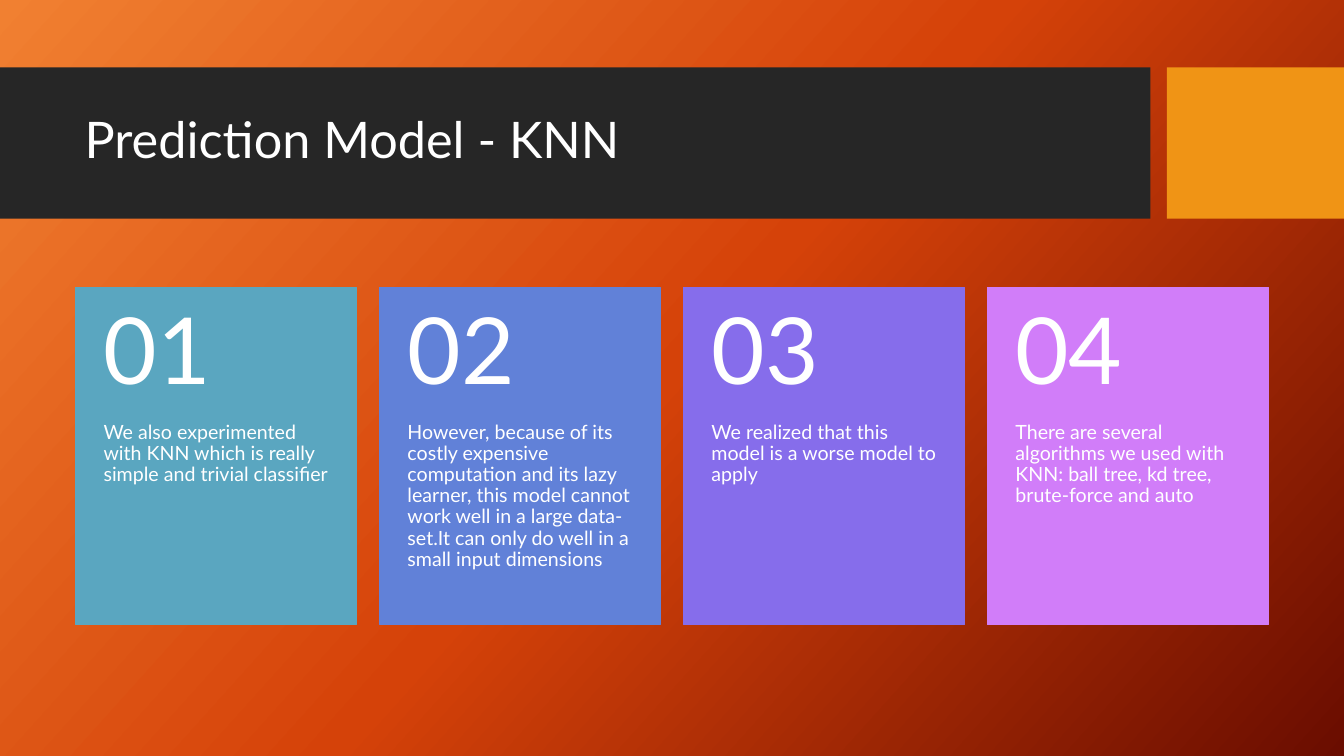
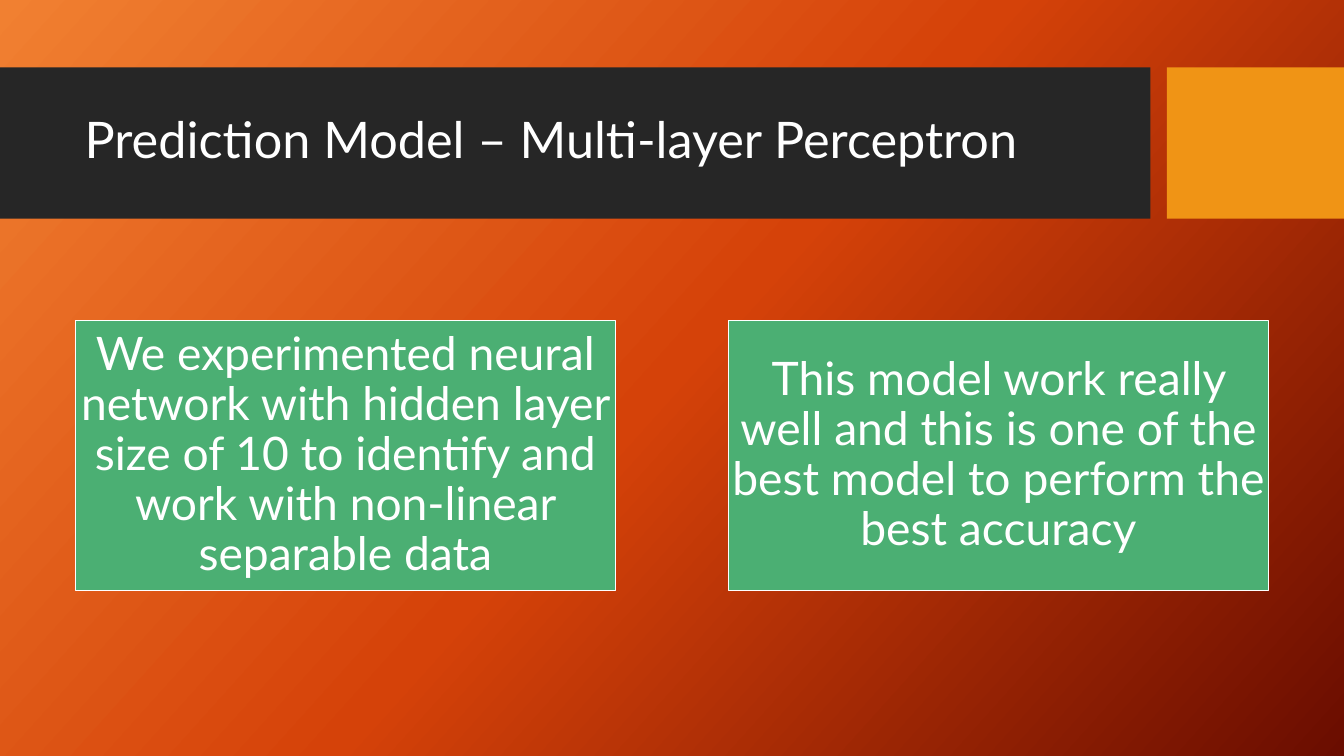
from copy import deepcopy

from pptx import Presentation
from pptx.dml.color import RGBColor as Rgb
from pptx.enum.shapes import MSO_SHAPE as Geo
from pptx.enum.text import MSO_ANCHOR as Anchor, MSO_AUTO_SIZE as Fit, PP_ALIGN as Align
from pptx.oxml.ns import qn
from pptx.util import Cm, Pt

FONT = "Lato"
WHITE = Rgb(0xFF, 0xFF, 0xFF)
DARK = Rgb(0x26, 0x26, 0x26)
AMBER = Rgb(0xF0, 0x94, 0x15)
GREEN = Rgb(0x4B, 0xAF, 0x73)
TEAL = Rgb(0x5A, 0xA6, 0xC0)
BLUE = Rgb(0x61, 0x81, 0xD8)
VIOLET = Rgb(0x86, 0x6D, 0xEB)
PINK = Rgb(0xD1, 0x7D, 0xF9)
GLOW = [(0, Rgb(0xF1, 0x80, 0x31)), (0.5, Rgb(0xD5, 0x42, 0x09)), (1, Rgb(0x6A, 0x0D, 0x00))]

LEFT = 1.9
CARDS = [
    (TEAL, "We also experimented with KNN which is really simple and trivial classifier"),
    (BLUE, "However, because of its costly expensive computation and its lazy learner, "
           "this model cannot work well in a large data-set.It can only do well in a "
           "small input dimensions"),
    (VIOLET, "We realized that this model is a worse model to apply"),
    (PINK, "There are several algorithms we used with KNN: ball tree, kd tree, "
           "brute-force and auto"),
]
BOXES = [
    "We experimented neural network with hidden layer size of 10 to identify and work "
    "with non-linear separable data",
    "This model work really well and this is one of the best model to perform the "
    "best accuracy",
]


class Deck:
    def __init__(self):
        self.prs = Presentation()
        self.prs.slide_width, self.prs.slide_height = Cm(33.87), Cm(19.05)
        self.layout = self.prs.slide_layouts[5]
        self.slide = None
        self.glow()
        # Title place, inherited by every slide
        for spot in self.layout.placeholders:
            if spot.placeholder_format.idx == 0:
                self.place(spot, 1.88, 2.08, 26.7, 3)

    def place(self, shape, x, y, w, h):
        shape.left, shape.top, shape.width, shape.height = Cm(x), Cm(y), Cm(w), Cm(h)

    def glow(self):
        """Fill the shared background with a three-stop gradient."""
        fill = self.layout.background.fill
        fill.gradient()
        fill.gradient_angle = 318
        stops = next(self.layout.element.iter(qn("a:gsLst")))
        stops.insert(1, deepcopy(stops[0]))
        for stop, (pos, color) in zip(fill.gradient_stops, GLOW):
            stop.position = pos
            stop.color.rgb = color

    def page(self, title):
        self.slide = self.prs.slides.add_slide(self.layout)
        self.style(self.slide.shapes.title, title, 36)

    def style(self, shape, text, size, align=Align.LEFT, anchor=Anchor.MIDDLE, pad=None):
        frame = shape.text_frame
        frame.text = text
        frame.word_wrap = True
        frame.auto_size = Fit.NONE
        frame.vertical_anchor = anchor
        if pad:
            sides = [Cm(side) for side in pad]
            frame.margin_left, frame.margin_top, frame.margin_right, frame.margin_bottom = sides
        for para in frame.paragraphs:
            para.alignment = align
            para.line_spacing = 0.9
            for run in para.runs:
                run.font.name, run.font.size = FONT, Pt(size)
                run.font.color.rgb = WHITE

    def rect(self, x, y, w, h, fill, line=None):
        shape = self.slide.shapes.add_shape(Geo.RECTANGLE, Cm(x), Cm(y), Cm(w), Cm(h))
        shape.shadow.inherit = False
        shape.fill.solid()
        shape.fill.fore_color.rgb = fill
        if line is None:
            shape.line.fill.background()
        else:
            shape.line.color.rgb, shape.line.width = line, Pt(1)
        return shape

    def band(self, x, w, fill):
        """Draw a title band and move it to the shared layout."""
        item = self.rect(x, 1.7, w, 3.81, fill).element
        tree = self.layout.element.cSld.spTree
        item.nvSpPr.cNvPr.set("id", str(20 + len(tree)))
        tree.insert(2, item)

    def label(self, x, y, w, h, text, size, **look):
        box = self.slide.shapes.add_textbox(Cm(x), Cm(y), Cm(w), Cm(h))
        self.style(box, text, size, **look)

    def card(self, x, num, fill, text):
        top, wide, head, body = 7.24, 7.09, 3.4, 5.1
        self.rect(x, top, wide, head + body, fill, fill)
        self.label(x, top, wide, head, f"{num:02}", 66, pad=(0.71, 0.46, 0.71, 0.46))
        self.label(x, top + head, wide, body, text, 14, anchor=Anchor.TOP,
                   pad=(0.71, 0, 0.71, 0.91))

    def box(self, x, text):
        shape = self.rect(x, 8.08, 13.61, 6.8, GREEN, WHITE)
        self.style(shape, text, 33, align=Align.CENTER, pad=(0.05,) * 4)


def main():
    deck = Deck()

    # Numbered cards
    deck.page("Prediction Model - KNN")
    deck.band(0, 28.99, DARK)
    deck.band(29.41, 4.46, AMBER)
    for i, (fill, text) in enumerate(CARDS):
        deck.card(LEFT + i * 7.66, i + 1, fill, text)

    # Two statements
    deck.page("Prediction Model – Multi-layer Perceptron")
    for i, text in enumerate(BOXES):
        deck.box(LEFT + i * 16.46, text)

    deck.prs.save("out.pptx")


if __name__ == "__main__":
    main()
